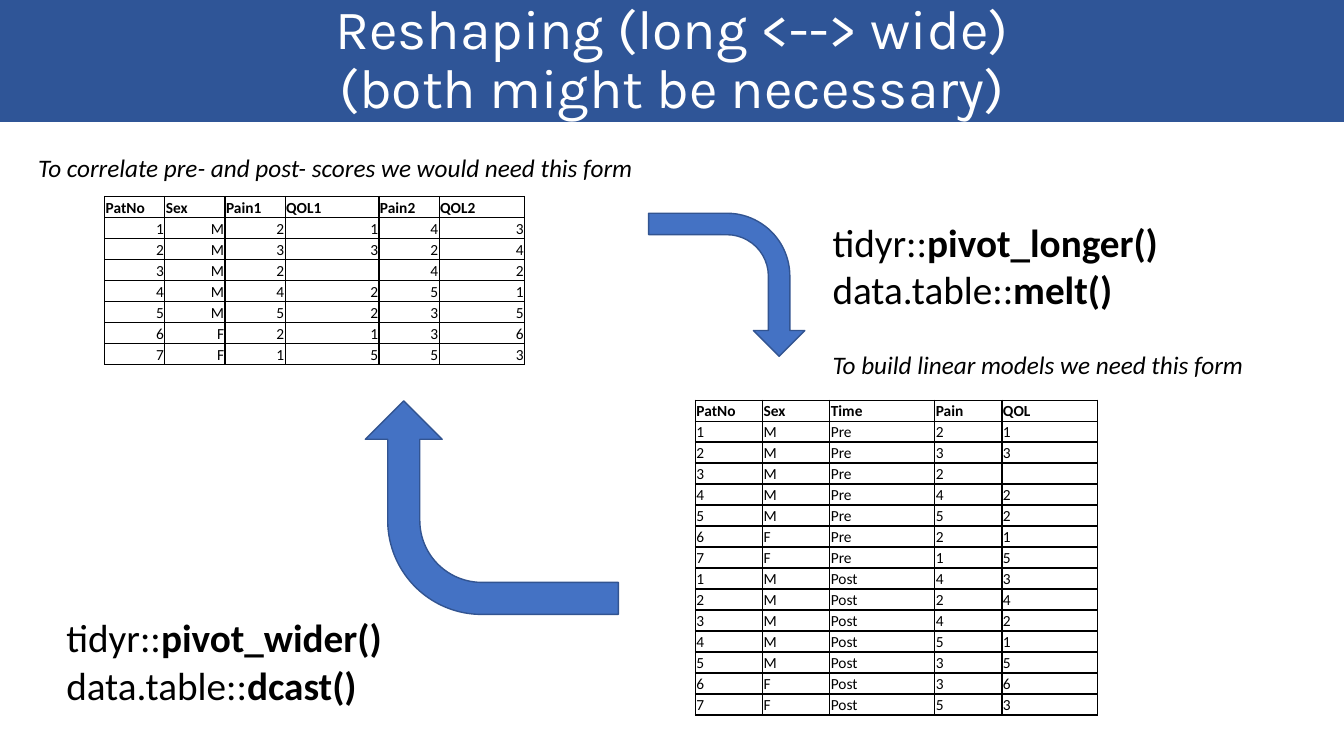
from dataclasses import dataclass

from lxml.etree import SubElement
from pptx import Presentation
from pptx.dml.color import RGBColor
from pptx.enum.shapes import MSO_SHAPE
from pptx.enum.text import MSO_ANCHOR, MSO_AUTO_SIZE, PP_ALIGN
from pptx.oxml.ns import qn
from pptx.slide import Slide
from pptx.util import Pt

BODY_FONT = "Calibri"
TITLE_FONT = "Karla"
BLACK = "000000"
WHITE = "FFFFFF"
TITLE_BLUE = "2F5597"
ARROW_BLUE = "4472C4"
ARROW_OUTLINE = "325491"
ROW_HEIGHT = 15
CELL_SIZE = 11

WIDE_HEADER = ["PatNo", "Sex", "Pain1", "QOL1", "Pain2", "QOL2"]
WIDE_ROWS = [
    ["1", "M", "2", "1", "4", "3"],
    ["2", "M", "3", "3", "2", "4"],
    ["3", "M", "2", "", "4", "2"],
    ["4", "M", "4", "2", "5", "1"],
    ["5", "M", "5", "2", "3", "5"],
    ["6", "F", "2", "1", "3", "6"],
    ["7", "F", "1", "5", "5", "3"],
]
LONG_HEADER = ["PatNo", "Sex", "Time", "Pain", "QOL"]
LONG_ROWS = [
    [*row[:2], time, *row[first : first + 2]]
    for time, first in (("Pre", 2), ("Post", 4))
    for row in WIDE_ROWS
]


@dataclass
class DataTable:
    left: float
    top: float
    column_widths: list[float]
    header: list[str]
    rows: list[list[str]]
    body_alignment: PP_ALIGN


@dataclass
class BentArrow:
    left: float
    top: float
    width: float
    height: float
    rotation: int


@dataclass
class FunctionPair:
    """Two lines of package and function name."""
    left: float
    top: float
    width: float
    calls: list[tuple[str, str]]


@dataclass
class Caption:
    left: float
    top: float
    width: float
    text: str


TABLES = [
    DataTable(74.8, 140.4, [43, 43, 43, 67, 43, 61], WIDE_HEADER, WIDE_ROWS, PP_ALIGN.RIGHT),
    DataTable(496.8, 285.8, [48, 48, 75, 48, 68.3], LONG_HEADER, LONG_ROWS, PP_ALIGN.LEFT),
]
ARROWS = [
    BentArrow(275, 272.2, 152.6, 180.7, 270),
    BentArrow(468, 147.6, 102.2, 111.6, 90),
]
FUNCTION_PAIRS = [
    FunctionPair(587.6, 152.6, 249.8, [("tidyr::", "pivot_longer()"), ("data.table::", "melt()")]),
    FunctionPair(40.3, 434.9, 242.6, [("tidyr::", "pivot_wider()"), ("data.table::", "dcast()")]),
]
CAPTIONS = [
    Caption(20.2, 105.1, 444.2, "To correlate pre- and post- scores we would need this form"),
    Caption(587.6, 246.2, 311, "To build linear models we need this form"),
]


def color(value: str) -> RGBColor:
    return RGBColor.from_string(value)


def format_run(run, size: float, name: str = BODY_FONT, fill: str = BLACK,
               bold: bool = False, italic: bool = False) -> None:
    run.font.size = Pt(size)
    run.font.name = name
    run.font.color.rgb = color(fill)
    run.font.bold = bold
    run.font.italic = italic


def add_title(slide: Slide, text: str) -> None:
    banner = slide.shapes.add_shape(MSO_SHAPE.RECTANGLE, 0, 0, Pt(960), Pt(87.1))
    banner.shadow.inherit = False
    banner.fill.solid()
    banner.fill.fore_color.rgb = color(TITLE_BLUE)
    banner.line.fill.background()
    banner.text_frame.vertical_anchor = MSO_ANCHOR.MIDDLE
    paragraph = banner.text_frame.paragraphs[0]
    paragraph.text = text
    paragraph.alignment = PP_ALIGN.CENTER
    paragraph.line_spacing = 0.9
    for run in paragraph.runs:
        format_run(run, 39.6, TITLE_FONT, WHITE)


def add_borders(cell) -> None:
    properties = cell._tc.get_or_add_tcPr()
    for side in ("a:lnL", "a:lnR", "a:lnT", "a:lnB"):
        border = SubElement(properties, qn(side), w=str(Pt(1)))
        fill = SubElement(border, qn("a:solidFill"))
        SubElement(fill, qn("a:srgbClr"), val=BLACK)


def fill_cell(cell, text: str, bold: bool, alignment: PP_ALIGN) -> None:
    add_borders(cell)
    cell.fill.background()
    cell.vertical_anchor = MSO_ANCHOR.BOTTOM
    cell.margin_left = cell.margin_right = cell.margin_top = Pt(0.7)
    cell.margin_bottom = 0
    paragraph = cell.text_frame.paragraphs[0]
    paragraph.text = text
    paragraph.alignment = alignment
    for run in paragraph.runs:
        format_run(run, CELL_SIZE, bold=bold)
    if not text:
        # Keeps an empty cell from growing its row.
        SubElement(paragraph._p, qn("a:endParaRPr"), sz=str(CELL_SIZE * 100))


def add_data_table(slide: Slide, data: DataTable) -> None:
    lines = [data.header, *data.rows]
    table = slide.shapes.add_table(
        len(lines), len(data.header), Pt(data.left), Pt(data.top),
        Pt(sum(data.column_widths)), Pt(ROW_HEIGHT * len(lines)),
    ).table
    table.first_row = True
    table.horz_banding = False
    for column, width in zip(table.columns, data.column_widths):
        column.width = Pt(width)
    for row_index, line in enumerate(lines):
        table.rows[row_index].height = Pt(ROW_HEIGHT)
        is_header = row_index == 0
        alignment = PP_ALIGN.LEFT if is_header else data.body_alignment
        for column_index, text in enumerate(line):
            fill_cell(table.cell(row_index, column_index), text, is_header, alignment)


def add_bent_arrow(slide: Slide, arrow: BentArrow) -> None:
    shape = slide.shapes.add_shape(
        MSO_SHAPE.BENT_ARROW, Pt(arrow.left), Pt(arrow.top), Pt(arrow.width), Pt(arrow.height))
    for index, value in enumerate((0.15, 0.18, 0.18, 0.44)):
        shape.adjustments[index] = value
    shape.rotation = arrow.rotation
    shape.shadow.inherit = False
    shape.fill.solid()
    shape.fill.fore_color.rgb = color(ARROW_BLUE)
    shape.line.color.rgb = color(ARROW_OUTLINE)
    shape.line.width = Pt(1)


def add_text_frame(slide: Slide, left: float, top: float, width: float, height: float):
    box = slide.shapes.add_textbox(Pt(left), Pt(top), Pt(width), Pt(height))
    box.text_frame.word_wrap = False
    box.text_frame.auto_size = MSO_AUTO_SIZE.SHAPE_TO_FIT_TEXT
    return box.text_frame


def add_function_pair(slide: Slide, pair: FunctionPair) -> None:
    text_frame = add_text_frame(slide, pair.left, pair.top, pair.width, 74.9)
    text_frame.text = "\n".join(package for package, _ in pair.calls)
    for paragraph, (_, function) in zip(text_frame.paragraphs, pair.calls):
        format_run(paragraph.runs[0], 28)
        function_run = paragraph.add_run()
        function_run.text = function
        format_run(function_run, 28, bold=True)


def add_caption(slide: Slide, caption: Caption) -> None:
    text_frame = add_text_frame(slide, caption.left, caption.top, caption.width, 29)
    text_frame.text = caption.text
    format_run(text_frame.paragraphs[0].runs[0], 18, italic=True)


def main() -> None:
    presentation = Presentation()
    presentation.slide_width, presentation.slide_height = Pt(960), Pt(540)
    slide = presentation.slides.add_slide(presentation.slide_layouts[6])
    add_title(slide, "Reshaping (long <--> wide)\n(both might be necessary)")
    for data in TABLES:
        add_data_table(slide, data)
    for arrow in ARROWS:
        add_bent_arrow(slide, arrow)
    for pair in FUNCTION_PAIRS:
        add_function_pair(slide, pair)
    for caption in CAPTIONS:
        add_caption(slide, caption)
    presentation.save("out.pptx")


if __name__ == "__main__":
    main()
